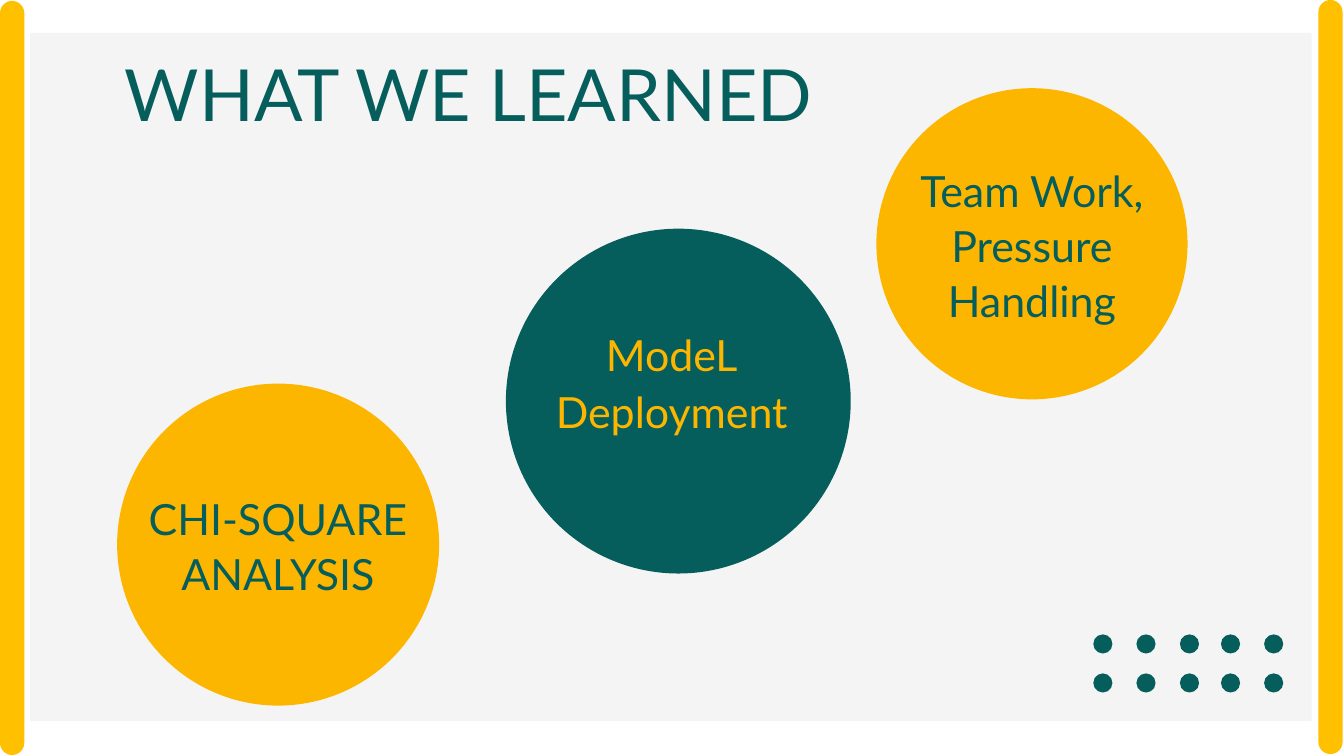
from dataclasses import dataclass
from itertools import product

from pptx import Presentation
from pptx.dml.color import RGBColor
from pptx.enum.shapes import MSO_SHAPE
from pptx.enum.text import MSO_ANCHOR, PP_ALIGN
from pptx.slide import Slide
from pptx.util import Pt

TEAL = "055E5C"
GOLD = "FDB600"
AMBER = "FFC000"
PANEL_GREY = "F4F4F4"


@dataclass(frozen=True)
class Box:
    left: float
    top: float
    width: float
    height: float

    def lengths(self) -> tuple[Pt, Pt, Pt, Pt]:
        return Pt(self.left), Pt(self.top), Pt(self.width), Pt(self.height)


@dataclass(frozen=True)
class Label:
    lines: tuple[str, ...]
    box: Box
    color: str
    size: float = 46
    spacing: float = 1.06
    inset: float = 0
    anchor: MSO_ANCHOR = MSO_ANCHOR.MIDDLE


@dataclass(frozen=True)
class Lesson:
    circle: Box
    fill: str
    label: Label


LESSONS = (
    Lesson(Box(125.5, 411, 345, 345), GOLD,
           Label(("CHI-SQUARE", "ANALYSIS"), Box(121, 480.2, 353.5, 206), TEAL)),
    Lesson(Box(542, 245, 369.5, 369.5), TEAL,
           Label(("ModeL", "Deployment"), Box(553, 301.7, 333.4, 211), GOLD, spacing=1.11)),
    Lesson(Box(939, 94.5, 333.4, 333.4), GOLD,
           Label(("Team Work,", "Pressure", "Handling"), Box(956.9, 166.3, 297.4, 188.6),
                 TEAL, inset=7.2, anchor=MSO_ANCHOR.TOP)),
)
TITLE = Label(("WHAT WE LEARNED",), Box(32.4, 35.3, 940.3, 93.6), TEAL,
              size=77, spacing=1.2, anchor=MSO_ANCHOR.TOP)
PANEL = Box(32.4, 35.3, 1373, 737.5)
SIDE_BARS = (Box(0, 1, 26, 808), Box(1412.5, 0, 26, 808))
DOT_LEFTS = (1171.4, 1217.6, 1264.2, 1308.2, 1354.4)
DOT_TOPS = (679.7, 721.5)
DOT_SIZE = 20.5


def rgb(color: str) -> RGBColor:
    return RGBColor.from_string(color)


def add_filled(slide: Slide, kind: MSO_SHAPE, box: Box, color: str):
    shape = slide.shapes.add_shape(kind, *box.lengths())
    shape.shadow.inherit = False
    shape.fill.solid()
    shape.fill.fore_color.rgb = rgb(color)
    shape.line.fill.background()
    return shape


def add_label(slide: Slide, label: Label) -> None:
    frame = slide.shapes.add_textbox(*label.box.lengths()).text_frame
    frame.word_wrap = True
    frame.vertical_anchor = label.anchor
    frame.margin_left = frame.margin_right = Pt(label.inset)
    frame.margin_top = frame.margin_bottom = Pt(label.inset)
    for index, line in enumerate(label.lines):
        paragraph = frame.add_paragraph() if index else frame.paragraphs[0]
        paragraph.alignment = PP_ALIGN.CENTER
        paragraph.line_spacing = label.spacing
        run = paragraph.add_run()
        run.text = line
        run.font.name = "Lato"
        run.font.size = Pt(label.size)
        run.font.color.rgb = rgb(label.color)


def main() -> None:
    deck = Presentation()
    deck.slide_width, deck.slide_height = Pt(1440), Pt(810)
    slide = deck.slides.add_slide(deck.slide_layouts[6])

    add_filled(slide, MSO_SHAPE.RECTANGLE, PANEL, PANEL_GREY)
    for lesson in LESSONS:
        add_filled(slide, MSO_SHAPE.OVAL, lesson.circle, lesson.fill)
        add_label(slide, lesson.label)
    for top, left in product(DOT_TOPS, DOT_LEFTS):
        add_filled(slide, MSO_SHAPE.OVAL, Box(left, top, DOT_SIZE, DOT_SIZE), TEAL)
    add_label(slide, TITLE)
    for bar in SIDE_BARS:
        add_filled(slide, MSO_SHAPE.ROUNDED_RECTANGLE, bar, AMBER).adjustments[0] = 0.5

    deck.save("out.pptx")


if __name__ == "__main__":
    main()
